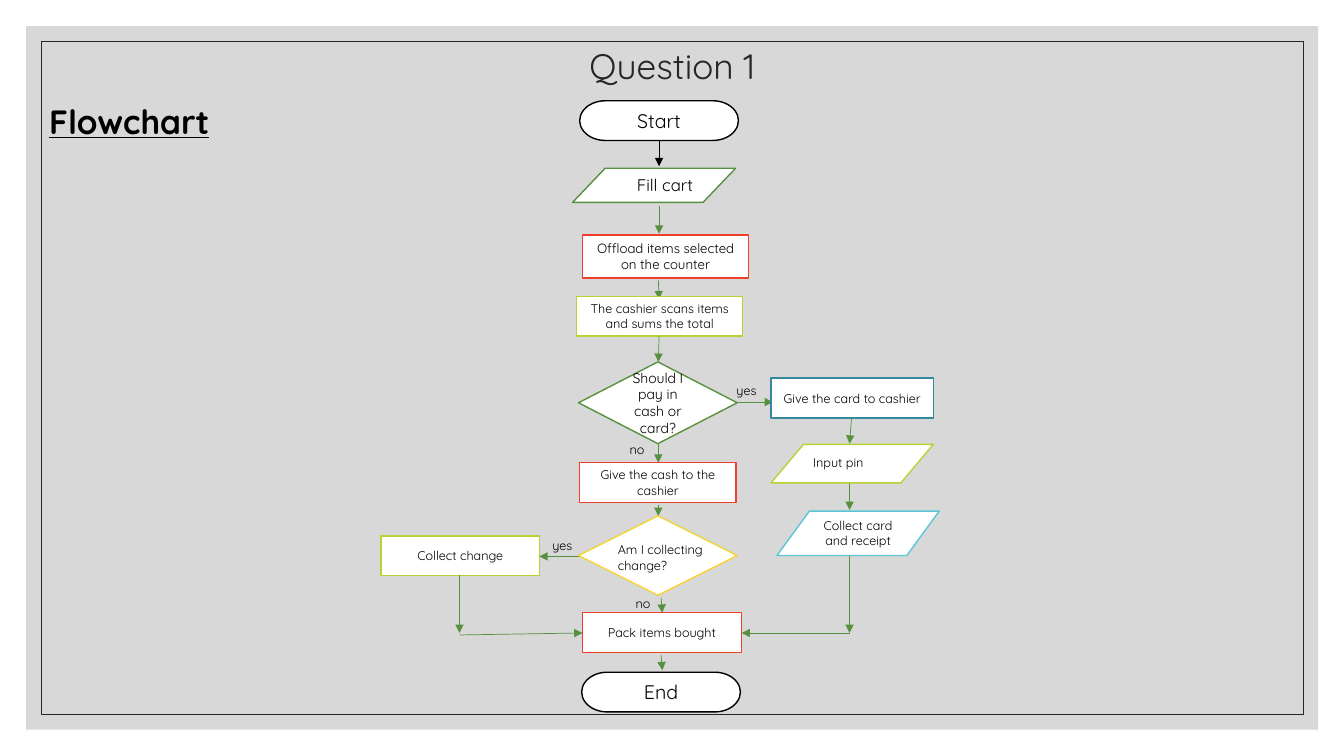
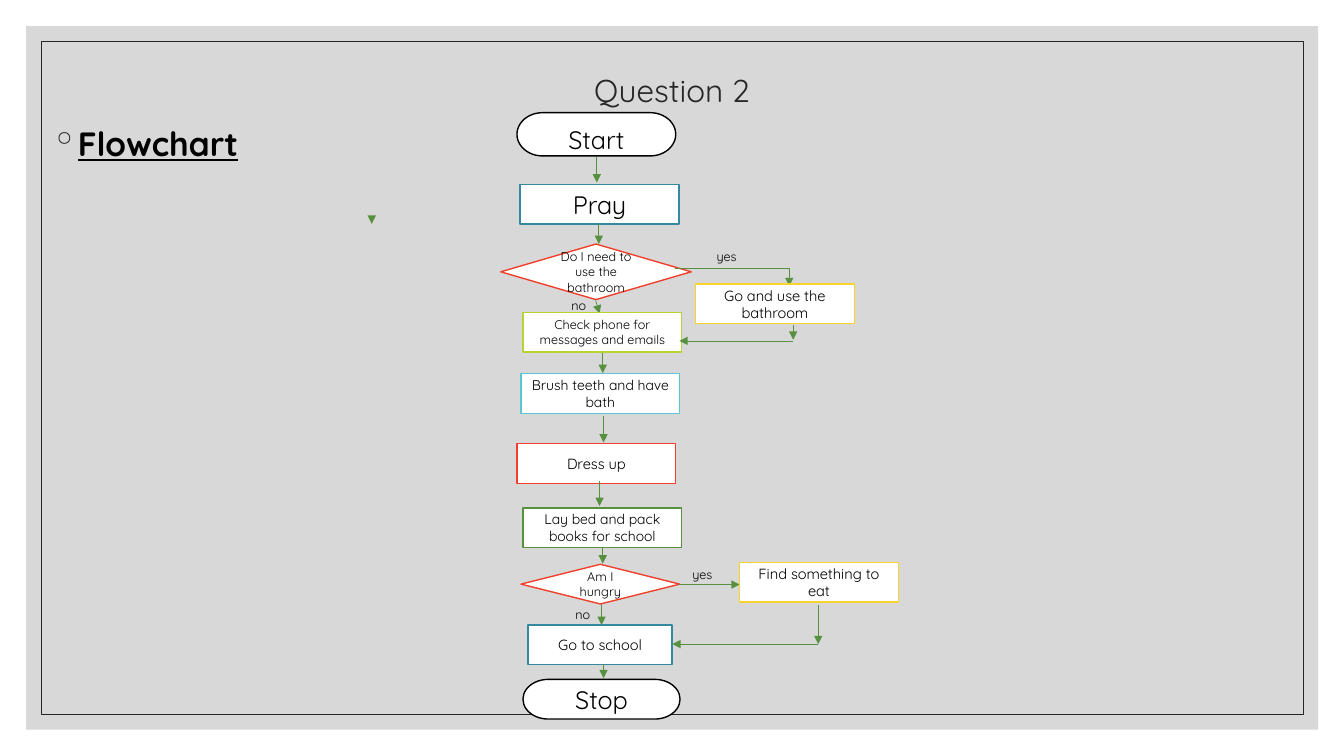
from dataclasses import dataclass
from typing import Any, Optional, Union

import lxml.etree
import pptx
import pptx.dml.color
import pptx.enum.shapes
import pptx.enum.text
import pptx.oxml.ns
import pptx.presentation
import pptx.shapes.autoshape
import pptx.slide
import pptx.text.text
import pptx.util

Cm = pptx.util.Cm
Pt = pptx.util.Pt
Color = pptx.dml.color.RGBColor
Kind = pptx.enum.shapes.MSO_SHAPE
Anchor = pptx.enum.text.MSO_ANCHOR
Align = pptx.enum.text.PP_ALIGN
qualified = pptx.oxml.ns.qn


@dataclass(frozen=True)
class Theme:
    font: str = "Quicksand"
    black: Color = Color(0x00, 0x00, 0x00)
    white: Color = Color(0xFF, 0xFF, 0xFF)
    ink: Color = Color(0x26, 0x26, 0x26)
    panel: Color = Color(0xBF, 0xBF, 0xBF)
    green: Color = Color(0x57, 0x90, 0x3F)
    red: Color = Color(0xF0, 0x3F, 0x2B)
    lime: Color = Color(0xB8, 0xD2, 0x33)
    blue: Color = Color(0x34, 0x88, 0xA0)
    yellow: Color = Color(0xF8, 0xD2, 0x2F)
    cyan: Color = Color(0x5C, 0xC6, 0xD6)
    heading: float = 24
    terminal: float = 18
    large: float = 14
    medium: float = 12
    step: float = 10.5
    compact: float = 10
    dense: float = 9.5
    small: float = 9
    outline: float = 1
    hairline: float = 0.5


THEME = Theme()


@dataclass(frozen=True)
class Box:
    text: str
    left: float
    top: float
    color: Color
    kind: Kind = Kind.FLOWCHART_PROCESS
    size: float = THEME.small
    width: float = 4
    height: float = 1
    align: Align = Align.CENTER
    anchor: Anchor = Anchor.MIDDLE


@dataclass(frozen=True)
class Arrow:
    start: tuple[float, float]
    end: tuple[float, float]
    color: Color = THEME.green
    head: bool = True


@dataclass(frozen=True)
class Label:
    text: str
    left: float
    top: float
    width: float
    height: float = 0.64


Item = Union[Box, Arrow, Label]


@dataclass(frozen=True)
class Title:
    text: str
    top: float
    size: float


@dataclass(frozen=True)
class Heading:
    left: float
    top: float
    height: float
    bullet: bool = False


@dataclass(frozen=True)
class Page:
    title: Title
    heading: Heading
    items: tuple[Item, ...]


def apply_format(target: Any, values: dict[str, Any]) -> None:
    for name, value in values.items():
        setattr(target, name, value)


def write_text(frame: pptx.text.text.TextFrame, text: str, size: float,
               color: Color = THEME.black, paragraph_format: Optional[dict[str, Any]] = None,
               font_format: Optional[dict[str, Any]] = None) -> pptx.text.text._Paragraph:
    frame.word_wrap = True
    paragraph = frame.paragraphs[0]
    apply_format(paragraph, paragraph_format or {})
    run = paragraph.add_run()
    run.text = text
    apply_format(run.font, {"name": THEME.font, "size": Pt(size), **(font_format or {})})
    run.font.color.rgb = color
    return paragraph


def add_text_box(slide: pptx.slide.Slide, left: float, top: float,
                 width: float, height: float) -> pptx.text.text.TextFrame:
    return slide.shapes.add_textbox(Cm(left), Cm(top), Cm(width), Cm(height)).text_frame


def add_panel(slide: pptx.slide.Slide, kind: Kind, left: float, top: float, width: float,
              height: float) -> pptx.shapes.autoshape.Shape:
    shape = slide.shapes.add_shape(kind, Cm(left), Cm(top), Cm(width), Cm(height))
    shape.shadow.inherit = False
    return shape


def set_line(line: Any, color: Color, width: float) -> None:
    line.color.rgb = color
    line.width = Pt(width)


def draw_box(slide: pptx.slide.Slide, box: Box) -> None:
    shape = add_panel(slide, box.kind, box.left, box.top, box.width, box.height)
    shape.fill.solid()
    shape.fill.fore_color.rgb = THEME.white
    set_line(shape.line, box.color, THEME.outline)
    if box.text:
        shape.text_frame.vertical_anchor = box.anchor
        write_text(shape.text_frame, box.text, box.size, paragraph_format={"alignment": box.align})


def draw_arrow(slide: pptx.slide.Slide, arrow: Arrow) -> None:
    connector = slide.shapes.add_connector(
        pptx.enum.shapes.MSO_CONNECTOR.STRAIGHT, *map(Cm, arrow.start + arrow.end))
    set_line(connector.line, arrow.color, THEME.hairline)
    properties = connector._element.spPr
    if arrow.head:
        line = properties.find(qualified("a:ln"))
        lxml.etree.SubElement(line, qualified("a:tailEnd"), type="triangle")
    lxml.etree.SubElement(properties, qualified("a:effectLst"))


def draw_label(slide: pptx.slide.Slide, label: Label) -> None:
    frame = add_text_box(slide, label.left, label.top, label.width, label.height)
    write_text(frame, label.text, THEME.small)
    frame.auto_size = pptx.enum.text.MSO_AUTO_SIZE.SHAPE_TO_FIT_TEXT


def draw_title(slide: pptx.slide.Slide, title: Title) -> None:
    frame = add_text_box(slide, 2.97, title.top, 27.94, 1.1)
    frame.vertical_anchor = Anchor.MIDDLE
    write_text(frame, title.text, title.size, THEME.ink,
               {"alignment": Align.CENTER, "line_spacing": 0.9})


def draw_heading(slide: pptx.slide.Slide, heading: Heading) -> None:
    frame = add_text_box(slide, heading.left, heading.top, 31.8, heading.height)
    paragraph = write_text(frame, "Flowchart", THEME.heading,
                           paragraph_format={"line_spacing": 1.1, "space_before": Pt(9)},
                           font_format={"bold": True, "underline": True})
    if heading.bullet:
        properties = paragraph._p.get_or_add_pPr()
        properties.set("marL", str(Cm(0.51)))
        properties.set("indent", str(Cm(-0.51)))
        color = lxml.etree.SubElement(properties, qualified("a:buClr"))
        lxml.etree.SubElement(color, qualified("a:srgbClr"), val=str(THEME.ink))
        lxml.etree.SubElement(properties, qualified("a:buChar"), char="◦")


def move_frame_to_layout(slide: pptx.slide.Slide) -> None:
    layout = slide.slide_layout
    layout_tree = layout.shapes._spTree
    for placeholder in list(layout.placeholders):
        layout_tree.remove(placeholder._element)
    panel = add_panel(slide, Kind.RECTANGLE, 0.66, 0.66, 32.56, 17.73)
    panel.fill.solid()
    panel.fill.fore_color.rgb = THEME.panel
    panel.line.fill.background()
    color = panel._element.spPr.find(qualified("a:solidFill"))[0]
    lxml.etree.SubElement(color, qualified("a:alpha"), val="60000")
    border = add_panel(slide, Kind.RECTANGLE, 1.04, 1.04, 31.8, 16.97)
    border.fill.background()
    set_line(border.line, THEME.ink, THEME.hairline)
    for shape in (panel, border):
        layout_tree.append(shape._element)


DRAWERS = {Box: draw_box, Arrow: draw_arrow, Label: draw_label}

SHOPPING = Page(Title("Question 1", 1.17, 25.2), Heading(0.99, 2.31, 16.03), (
    Box("Start", 14.61, 2.54, THEME.black, Kind.FLOWCHART_TERMINATOR, THEME.large),
    Arrow((16.61, 3.56), (16.61, 4.19), THEME.black),
    Arrow((16.61, 5.18), (16.61, 5.89)),
    Box("Offload items selected on the counter", 14.68, 5.92, THEME.red,
        size=THEME.dense, width=4.19, height=1.09),
    Arrow((16.59, 7.06), (16.61, 7.54)),
    Box("The cashier scans items and sums the total", 14.53, 7.47, THEME.lime, width=4.19),
    Arrow((16.61, 8.48), (16.59, 9.12)),
    Box("Should I pay in cash or card?", 14.58, 9.12, THEME.green,
        Kind.FLOWCHART_DECISION, THEME.compact, height=2.06),
    Arrow((18.59, 10.13), (19.48, 10.13)),
    Box("Give the card to cashier", 19.43, 9.53, THEME.blue, width=4.09),
    Arrow((21.46, 10.52), (21.41, 11.18)),
    Arrow((16.59, 11.18), (16.59, 11.66)),
    Box("Give the cash to the cashier", 14.61, 11.66, THEME.red, width=3.94),
    Arrow((16.59, 12.73), (16.59, 13)),
    Arrow((21.41, 12.17), (21.41, 12.85)),
    Box("", 14.58, 13, THEME.yellow, Kind.FLOWCHART_DECISION, height=2),
    Arrow((14.58, 14.02), (13.59, 14.02)),
    Box("Collect change", 9.6, 13.51, THEME.lime),
    Arrow((11.58, 14.5), (11.58, 15.95)),
    Arrow((11.58, 16), (14.68, 15.95)),
    Box("Pack items bought", 14.68, 15.44, THEME.red),
    Arrow((21.41, 13.82), (21.41, 15.95)),
    Arrow((21.41, 15.95), (18.69, 15.95)),
    Arrow((16.66, 15.06), (16.69, 15.44)),
    Arrow((16.66, 16.51), (16.69, 16.89)),
    Box("End", 14.66, 16.94, THEME.black, Kind.FLOWCHART_TERMINATOR, THEME.large),
    Label("yes", 18.31, 9.53, 1.07),
    Label("no", 15.62, 11.02, 0.99),
    Box("", 19.43, 11.2, THEME.lime, Kind.FLOWCHART_DATA, width=4.09, height=0.97),
    Label("Input pin", 20.24, 11.33, 3.86),
    Label("Am I collecting change?", 15.32, 13.54, 3.78, 1.02),
    Label("yes", 13.67, 13.44, 1.07),
    Label("no", 15.77, 14.88, 1.9),
    Box("Fill cart", 14.43, 4.24, THEME.green, Kind.FLOWCHART_DATA, THEME.medium,
        4.11, 0.86, Align.RIGHT),
    Box("Collect card and receipt", 19.58, 12.88, THEME.cyan, Kind.FLOWCHART_DATA,
        width=4.09, height=1.12),
))

MORNING = Page(Title("Question 2", 1.78, 22.5), Heading(1.04, 2.87, 15.44, bullet=True), (
    Box("Start", 13.03, 2.84, THEME.black, Kind.FLOWCHART_TERMINATOR, THEME.terminal,
        height=1.09, anchor=Anchor.TOP),
    Arrow((15.04, 3.96), (15.04, 4.6)),
    Box("Pray", 13.11, 4.65, THEME.blue, size=THEME.terminal),
    Arrow((15.09, 5.64), (15.09, 6.15)),
    Box("Do I need to use the bathroom", 12.62, 6.15, THEME.red, Kind.FLOWCHART_DECISION,
        width=4.8, height=1.4),
    Arrow((9.37, 5.56), (9.37, 5.64)),
    Arrow((19.89, 6.76), (19.89, 7.21)),
    Box("Go and use the bathroom", 17.53, 7.16, THEME.yellow, size=THEME.step),
    Arrow((15.01, 7.57), (15.11, 7.9)),
    Box("Check phone for messages and emails", 13.18, 7.87, THEME.lime),
    Arrow((19.99, 8.2), (19.99, 8.56)),
    Arrow((19.99, 8.59), (17.12, 8.59)),
    Arrow((15.19, 8.89), (15.19, 9.4)),
    Arrow((17.02, 6.76), (19.89, 6.76), head=False),
    Box("Brush teeth and have bath", 13.13, 9.42, THEME.cyan, size=THEME.compact),
    Arrow((15.21, 10.49), (15.21, 11.15)),
    Box("Dress up", 13.03, 11.18, THEME.red, size=THEME.step),
    Arrow((15.11, 12.12), (15.11, 12.75)),
    Box("Lay bed and pack books for school", 13.18, 12.8, THEME.green, size=THEME.compact),
    Arrow((15.19, 13.82), (15.19, 14.2)),
    Box("Am I hungry", 13.13, 14.22, THEME.red, Kind.FLOWCHART_DECISION),
    Arrow((17.12, 14.73), (18.64, 14.73)),
    Box("Find something to eat", 18.64, 14.17, THEME.yellow, size=THEME.step),
    Arrow((15.16, 15.21), (15.16, 15.75)),
    Box("Go to school", 13.31, 15.75, THEME.blue, size=THEME.step, width=3.63),
    Arrow((15.21, 16.74), (15.21, 17.09)),
    Box("Stop", 13.18, 17.12, THEME.black, Kind.FLOWCHART_TERMINATOR, THEME.terminal, 3.96),
    Label("yes", 17.81, 6.15, 1.75),
    Label("no", 14.15, 7.39, 1.45),
    Label("yes", 17.2, 14.17, 2.03),
    Label("no", 14.25, 15.16, 1.65),
    Arrow((20.62, 15.24), (20.62, 16.23)),
    Arrow((20.62, 16.23), (16.94, 16.23)),
))


def draw_page(slide: pptx.slide.Slide, page: Page) -> None:
    draw_title(slide, page.title)
    draw_heading(slide, page.heading)
    for item in page.items:
        DRAWERS[type(item)](slide, item)


def main() -> None:
    presentation = pptx.Presentation()
    apply_format(presentation, {"slide_width": Cm(33.87), "slide_height": Cm(19.05)})
    blank = presentation.slide_layouts[6]
    slides = [presentation.slides.add_slide(blank) for page in (SHOPPING, MORNING)]
    move_frame_to_layout(slides[0])
    for slide, page in zip(slides, (SHOPPING, MORNING)):
        draw_page(slide, page)
    presentation.save("out.pptx")


main()
